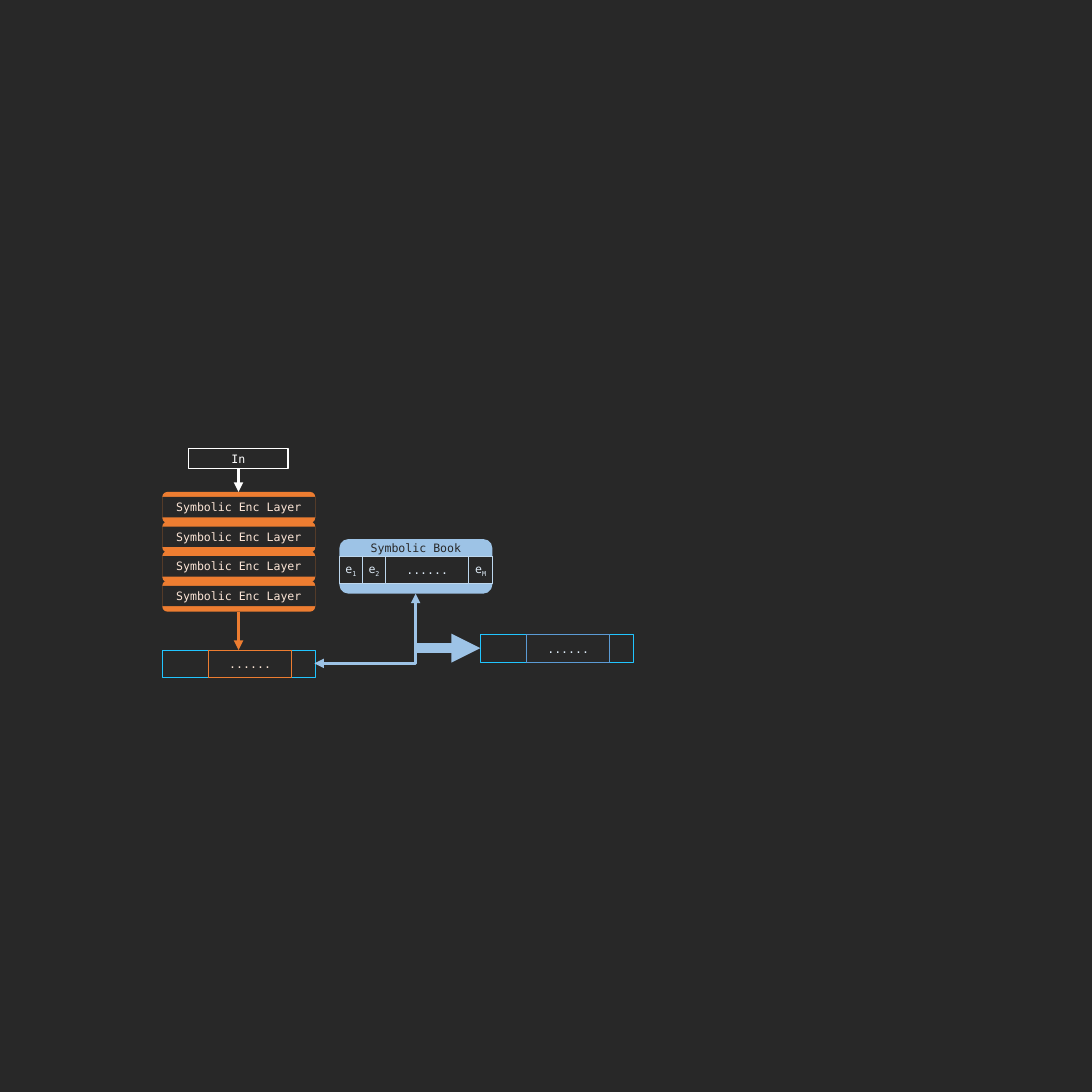
from lxml import etree
from pptx import Presentation
from pptx.dml.color import RGBColor
from pptx.enum.shapes import MSO_CONNECTOR, MSO_SHAPE
from pptx.enum.text import MSO_ANCHOR, PP_ALIGN
from pptx.oxml.ns import qn
from pptx.util import Pt

RECT, ROUND = MSO_SHAPE.RECTANGLE, MSO_SHAPE.ROUNDED_RECTANGLE
STRAIGHT, ELBOW = MSO_CONNECTOR.STRAIGHT, MSO_CONNECTOR.ELBOW
MIDDLE, CENTER = MSO_ANCHOR.MIDDLE, PP_ALIGN.CENTER
rgb = RGBColor.from_string
DARK, WHITE, ORANGE, PEACH = "282828", "FFFFFF", "ED7D31", "FBE5D6"
BLUE, PALE, EDGE, CYAN, MID = "9DC3E6", "DEEBF7", "BDD7EE", "21C5FF", "5B9BD5"


def add_box(shapes, kind, x, y, w, h, fill=DARK, line=None, width=1,
            text="", sub="", color=WHITE):
    if kind is None:
        s = shapes.add_textbox(Pt(x), Pt(y), Pt(w), Pt(h))
    else:
        s = shapes.add_shape(kind, Pt(x), Pt(y), Pt(w), Pt(h))
        s.shadow.inherit = False
        s.fill.solid()
        s.fill.fore_color.rgb = rgb(fill)
        if line:
            s.line.color.rgb = rgb(line)
            s.line.width = Pt(width)
        else:
            s.line.fill.background()
    tf = s.text_frame
    tf.word_wrap = True
    tf.vertical_anchor = MIDDLE
    p = tf.paragraphs[0]
    p.alignment = CENTER
    for part in filter(None, (text, sub)):
        r = p.add_run()
        r.text = part
        r.font.size = Pt(18)
        r.font.name = "DejaVu Sans Mono"
        r.font.color.rgb = rgb(color)
    if sub:
        r._r.get_or_add_rPr().set("baseline", "-25000")


def add_arrow(kind, x1, y1, x2, y2, color, width=5, ends=("tailEnd",)):
    c = slide.shapes.add_connector(kind, Pt(x1), Pt(y1), Pt(x2), Pt(y2))
    c.line.color.rgb = rgb(color)
    c.line.width = Pt(width)
    for end in ends:
        etree.SubElement(c.line._ln, qn("a:" + end), type="triangle")
    etree.SubElement(c._element.spPr, qn("a:effectLst"))
    return c


prs = Presentation()
prs.slide_width = prs.slide_height = Pt(1700.64)
slide = prs.slides.add_slide(prs.slide_layouts[6])
slide.background.fill.solid()
slide.background.fill.fore_color.rgb = rgb(DARK)

LEFT, WIDTH, ROW_H, WIDE = 252.7, 238.3, 42.5, 129.6
MID_X = 371.5

for i in range(4):
    y = 766.1 + i * 46.1
    layer = slide.shapes.add_group_shape().shapes
    add_box(layer, ROUND, LEFT, y, WIDTH, 48.2, ORANGE)
    add_box(layer, RECT, LEFT, y + 7.9, WIDTH, 31.7,
            text="Symbolic Enc Layer", color=PEACH)

add_arrow(STRAIGHT, MID_X, 730.8, MID_X, 766.1, WHITE)
add_box(slide.shapes, RECT, 293.8, 698.4, 154.8, 31.7, line=WHITE, width=2, text="In")

BOOK_X, CELL_Y, CELL = 528.5, 866.2, 36
book = slide.shapes.add_group_shape().shapes
add_box(book, ROUND, BOOK_X, 839.5, WIDTH, 85, BLUE)
add_box(book, RECT, BOOK_X, CELL_Y, WIDTH, ROW_H, line=EDGE)
add_box(book, None, BOOK_X, 835.9, WIDTH, 35.3, text="Symbolic Book", color=DARK)
x = BOOK_X
for text, sub, w in (("e", "1", CELL), ("e", "2", CELL), ("......", "", WIDE), ("e", "M", 36.7)):
    add_box(book, RECT, x, CELL_Y, w, ROW_H, line=EDGE, text=text, sub=sub, color=PALE)
    x += w

for x, y, edge, color in ((LEFT, 1012.3, ORANGE, PEACH), (748.1, 988.6, MID, PALE)):
    row = slide.shapes.add_group_shape().shapes
    add_box(row, RECT, x, y, WIDTH, ROW_H, line=CYAN)
    add_box(row, RECT, x + 2 * CELL, y, WIDE, ROW_H, line=edge, text="......", color=color)

add_arrow(STRAIGHT, MID_X, 952.6, MID_X, 1012.3, ORANGE)

bent = add_arrow(ELBOW, 514.1, 900, 622.8, 1057.7, BLUE, ends=("headEnd", "tailEnd"))
bent._element.spPr.find(qn("a:xfrm")).set("rot", "5400000")
bent._element.spPr.find(qn("a:prstGeom")).set("prst", "bentConnector2")

thick = add_arrow(STRAIGHT, 655.9, 1009.4, 748.1, 1009.4, BLUE, 15)
thick.line._ln.set("cap", "sq")

prs.save("out.pptx")
